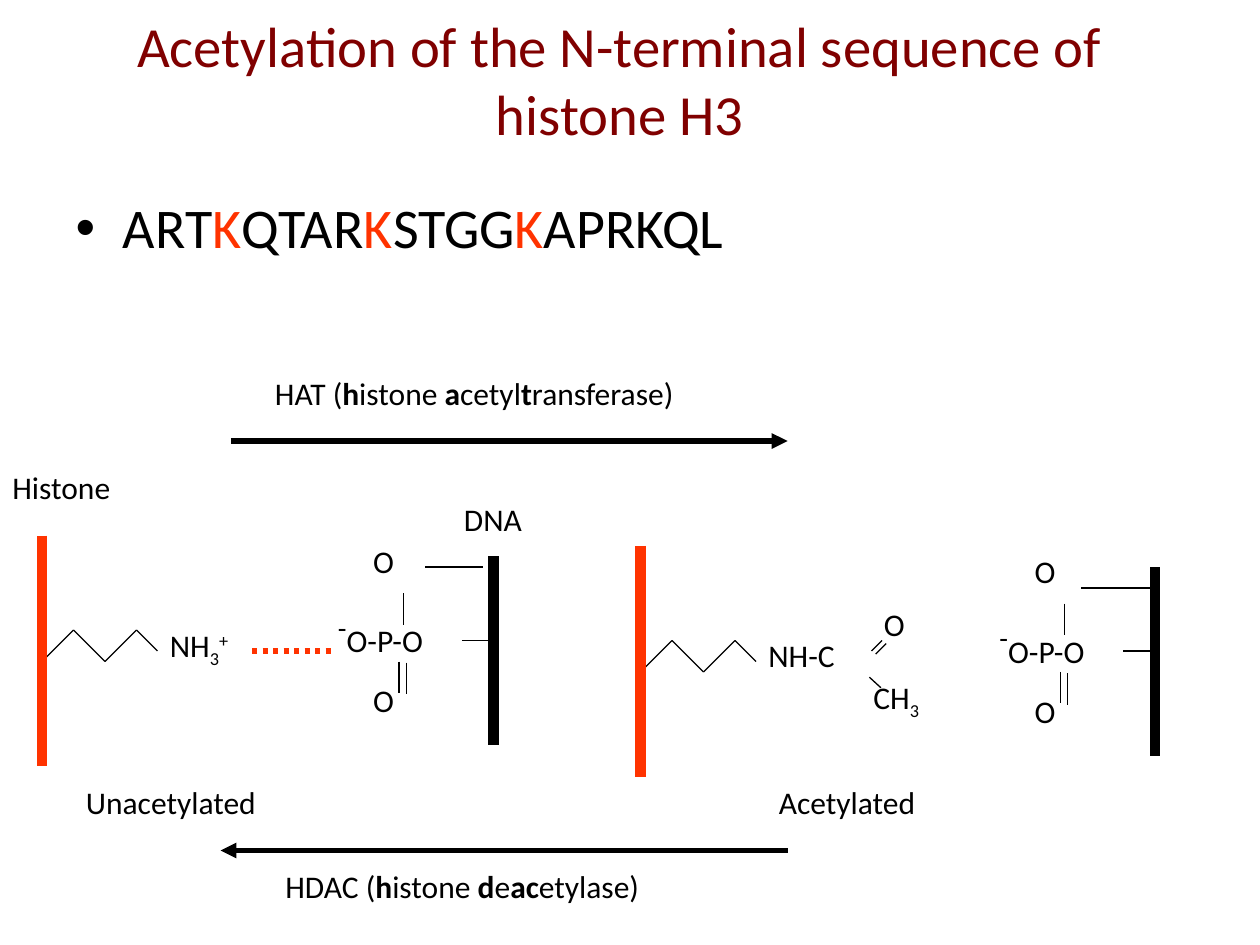
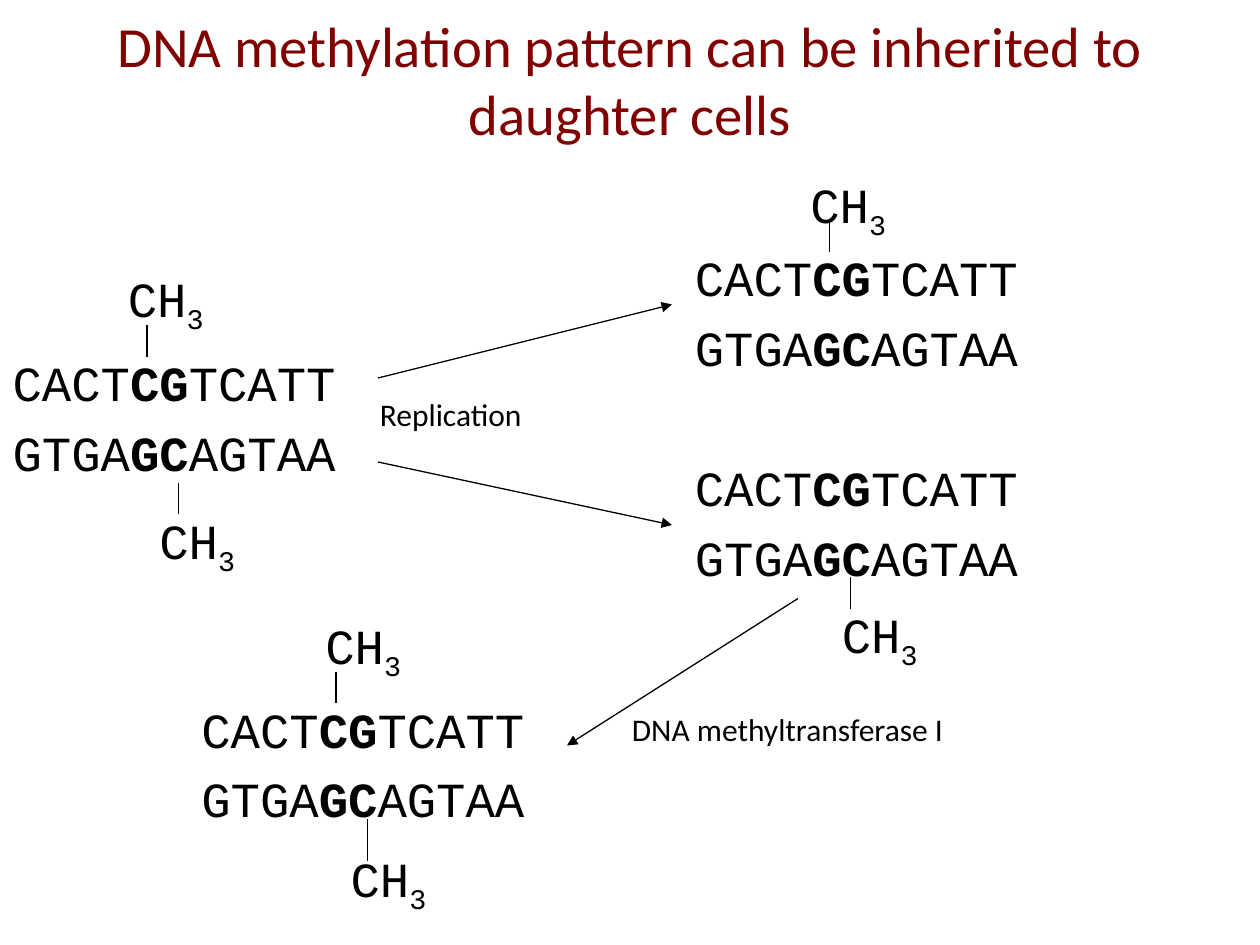
from pptx import Presentation
from pptx.dml.color import RGBColor
from pptx.enum.shapes import MSO_CONNECTOR
from pptx.enum.text import MSO_ANCHOR, MSO_AUTO_SIZE, PP_ALIGN
from pptx.oxml.ns import qn
from pptx.util import Inches, Pt
from lxml import etree

STRAIGHT = MSO_CONNECTOR.STRAIGHT
MIDDLE, TOP = MSO_ANCHOR.MIDDLE, MSO_ANCHOR.TOP
NO_FIT = MSO_AUTO_SIZE.NONE
CENTER = PP_ALIGN.CENTER

BLACK, RED, MAROON = "000000", "FF3300", "800000"
SANS, MONO = "Calibri", "Courier New"
THIN, ARROW, BAR = 0.75, 3, 6

prs = Presentation()
prs.slide_width, prs.slide_height = Inches(10), Inches(7.5)
UNIT = prs.slide_width / 120  # the slide is a grid of 120 columns by 90 rows


def text(sp, box, paras, size=18, font=SANS, color=BLACK, gap=0):
    """Place a text shape on the grid and fill it; a run is (text, format)."""
    sp.left, sp.top, sp.width, sp.height = [round(v * UNIT) for v in box]
    tf = sp.text_frame
    tf.word_wrap = True
    tf.auto_size = NO_FIT
    tf.vertical_anchor = TOP
    for i, runs in enumerate(paras):
        p = tf.add_paragraph() if i else tf.paragraphs[0]
        p.space_before = Pt(gap if i else 0)
        for words, fmt in runs:
            r = p.add_run()
            r.text = words
            r.font.name = font
            r.font.size = Pt(fmt.get("size", size))
            r.font.bold = fmt.get("bold", False)
            r.font.color.rgb = RGBColor.from_string(fmt.get("color", color))
            if "base" in fmt:
                r._r.get_or_add_rPr().set("baseline", str(fmt["base"] * 1000))
    return tf


def line(s, x1, y1, x2, y2, width=THIN, color=BLACK, dash=None, arrow=False):
    """Draw a straight line between two grid points."""
    c = s.shapes.add_connector(STRAIGHT, *[round(v * UNIT) for v in (x1, y1, x2, y2)])
    c.line.width = Pt(width)
    c.line.color.rgb = RGBColor.from_string(color)
    ln = c.line._get_or_add_ln()
    if dash:
        etree.SubElement(ln, qn("a:prstDash")).set("val", dash)
    if arrow:
        etree.SubElement(ln, qn("a:tailEnd")).set("type", "triangle")
    etree.SubElement(c._element.spPr, qn("a:effectLst"))


PLAIN, BOLD, ACETYL = {}, {"bold": True}, {"color": RED}
SUB, SUPER = {"base": -25}, {"base": 30}
METHYL = [("CH", PLAIN), ("3", SUB)]

# Both slides: layout and title
titles = [
    ("Acetylation of the N-terminal sequence of histone H3", (8, 0, 102, 15)),
    ("DNA methylation pattern can be inherited to daughter cells", (0, 0, 120, 15)),
]
for title, box in titles:
    s = prs.slides.add_slide(prs.slide_layouts[1])
    tf = text(s.shapes.title, box, [[(title, PLAIN)]], 32.4, color=MAROON)
    tf.vertical_anchor = MIDDLE
    tf.paragraphs[0].alignment = CENTER

# Slide 1: sequence with the acetylated lysines
s = prs.slides[0]
sequence = [("ART", PLAIN), ("K", ACETYL), ("QTAR", PLAIN), ("K", ACETYL),
            ("STGG", PLAIN), ("K", ACETYL), ("APRKQL", PLAIN)]
tf = text(s.placeholders[1], (6, 18.5, 102, 6.5), [sequence], 32)
tf.paragraphs[0].line_spacing = 0.9

# Unacetylated (left) and acetylated (right) state: histone, side chain, DNA
phosphate = [[("O", PLAIN)],
             [("-", {"base": 30, "size": 28}), ("O-P-O", PLAIN)],
             [("O", PLAIN)]]
chain = [(4, 63), (7, 60), (10, 63), (13, 60), (15, 62)]
for histone_dx, dna_dx, dy in [(0, 0, 0), (57, 63, 1)]:
    for (x1, y1), (x2, y2) in zip(chain, chain[1:]):
        line(s, x1 + histone_dx, y1 + dy, x2 + histone_dx, y2 + dy)
    line(s, 4 + histone_dx, 51 + dy, 4 + histone_dx, 73 + dy, BAR, RED)

    tf = text(s.shapes.add_textbox(0, 0, 0, 0), (31 + dna_dx, 51 + dy, 26, 20.4), phosphate)
    for p, gap in zip(tf.paragraphs, (0, 14, 10.5)):
        p.space_before = Pt(gap)
    for p in tf.paragraphs[::2]:
        p._p.get_or_add_pPr().set("marL", str(Inches(0.28)))
    for x, y in [(38, 63), (38.4, 56.5), (38.7, 63.1)]:
        line(s, x + dna_dx, y + dy, x + dna_dx, y + dy + 3)
    line(s, 44 + dna_dx, 61 + dy, 47 + dna_dx, 61 + dy)
    line(s, 47 + dna_dx, 53 + dy, 47 + dna_dx, 71 + dy, BAR)

# Bonds found in one state only
line(s, 24, 62, 32, 62, ARROW, RED, dash="sysDot")
line(s, 40.5, 54, 46, 54)
line(s, 103, 56, 110, 56)
line(s, 82.8, 64.5, 83.9, 65.5)
line(s, 84, 61, 83, 62)
line(s, 84.4, 61.3, 83.4, 62.3)

# Labels
labels = [
    (15, 59, 14, [("NH", PLAIN), ("3", SUB), ("+", SUPER)]),
    (72, 60, 14, [("NH-C", PLAIN)]),
    (83, 57, 7, [("O", PLAIN)]),
    (82, 64, 11, METHYL),
    (7, 74, 38, [("Unacetylated", PLAIN)]),
    (73, 74, 34, [("Acetylated", PLAIN)]),
    (0, 44, 18, [("Histone", PLAIN)]),
    (43, 47, 14, [("DNA", PLAIN)]),
    (25, 35, 88, [("HAT (", PLAIN), ("h", BOLD), ("istone ", PLAIN), ("a", BOLD),
                  ("cetyl", PLAIN), ("t", BOLD), ("ransferase)", PLAIN)]),
    (26, 82, 63, [("HDAC (", PLAIN), ("h", BOLD), ("istone ", PLAIN), ("d", BOLD),
                  ("e", PLAIN), ("ac", BOLD), ("etylase)", PLAIN)]),
]
for x, y, w, runs in labels:
    text(s.shapes.add_textbox(0, 0, 0, 0), (x, y, w, 6), [runs])

# Enzyme arrows
line(s, 22, 42, 75, 42, ARROW, arrow=True)
line(s, 75, 81, 21, 81, ARROW, arrow=True)

# Slide 2: parent, two daughters and the remethylated duplex
s = prs.slides[1]
duplex = [[("CACT", PLAIN), ("CG", BOLD), ("TCATT", PLAIN)],
          [("GTGA", PLAIN), ("GC", BOLD), ("AGTAA", PLAIN)]]
for i, (x, y) in enumerate([(0, 33), (65, 23), (65, 43), (18, 66)]):
    sp = s.shapes.add_textbox(0, 0, 0, 0) if i else s.placeholders[1]
    tf = text(sp, (x, y, 37, 14), duplex, 28, MONO, gap=6)
    for p in tf.paragraphs:
        pPr = p._p.get_or_add_pPr()
        pPr.set("marL", "0")
        pPr.set("indent", "0")
        etree.SubElement(pPr, qn("a:buNone"))

# Methyl groups, each with its bond (x, top, length)
methyls = [
    (11, 25, 14, 31, 3), (14, 48, 17, 46, 3),
    (76, 16, 79, 21, 3), (79, 57, 81, 55, 3),
    (29.8, 58, 32, 64, 3), (32.2, 80.2, 35, 78, 4),
]
for x, y, bond_x, bond_y, length in methyls:
    text(s.shapes.add_textbox(0, 0, 0, 0), (x, y, 14, 6.8), [METHYL], 28, MONO)
    line(s, bond_x, bond_y, bond_x, bond_y + length)

# Steps
for x, y, w, step in [(35, 37, 22, "Replication"), (59, 67, 34, "DNA methyltransferase I")]:
    text(s.shapes.add_textbox(0, 0, 0, 0), (x, y, w, 6), [[(step, PLAIN)]])
for ends in [(36, 36, 64, 29), (36, 44, 64, 50), (76, 57, 54, 71)]:
    line(s, *ends, arrow=True)

prs.save("out.pptx")
